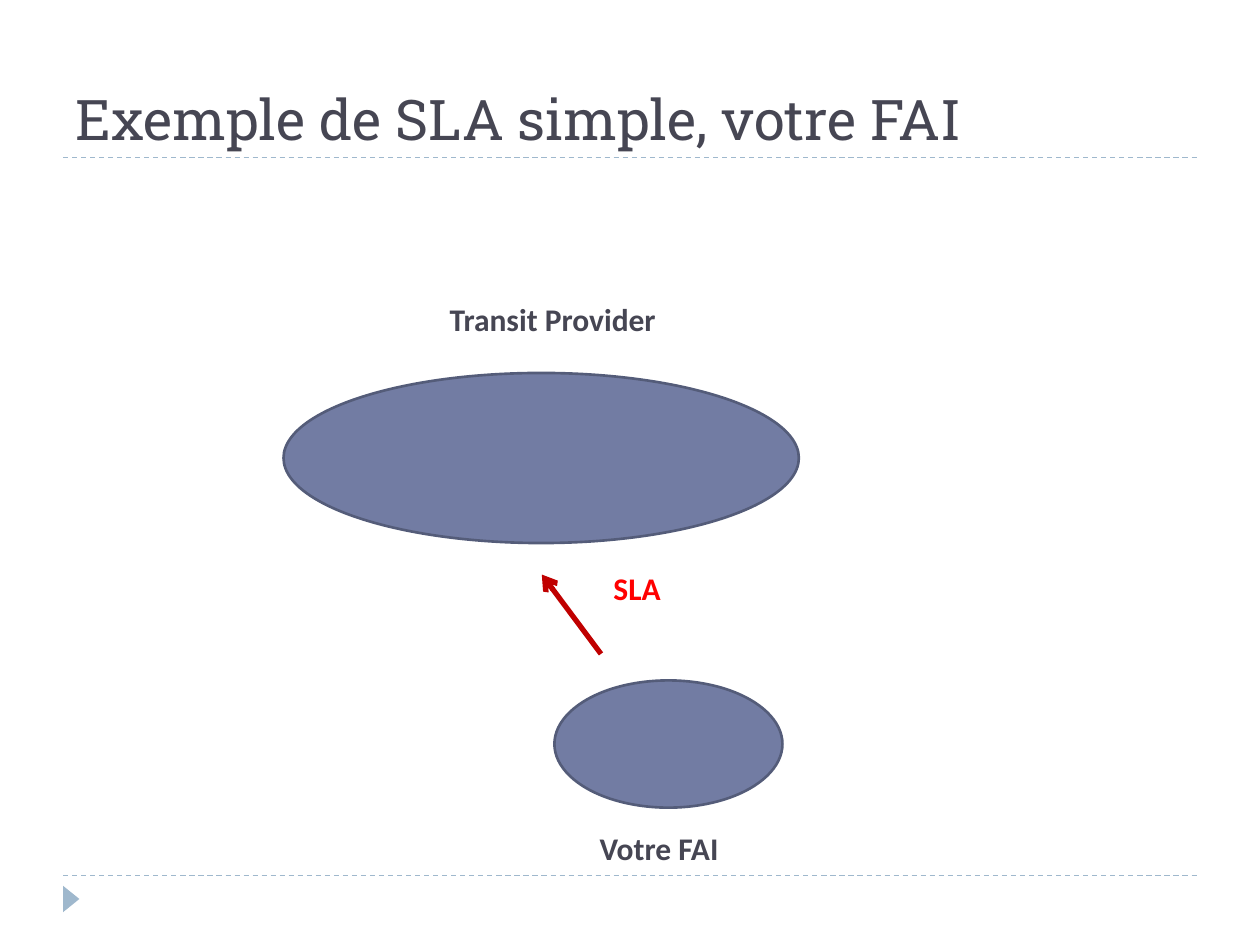
from pptx import Presentation
from pptx import util as u
from pptx.dml.color import RGBColor
from pptx.enum import dml, shapes, text
from pptx.oxml.ns import qn
from lxml import etree

COLORS = {
    "ink": "464653",
    "rule": "9FB8CD",
    "cloud": "727CA3",
    "edge": "545C79",
    "arrow": "C00000",
    "sla": "FF0000",
}


def color(name):
    return RGBColor.from_string(COLORS[name])


def add_line(slide, start, end, name, width):
    line = slide.shapes.add_connector(
        shapes.MSO_CONNECTOR.STRAIGHT, *map(u.Inches, start + end))
    line.line.color.rgb = color(name)
    line.line.width = u.Pt(width)
    etree.SubElement(line._element.spPr, qn("a:effectLst"))
    return line


def add_shape(slide, kind, box, fill):
    shape = slide.shapes.add_shape(kind, *map(u.Inches, box))
    shape.shadow.inherit = False
    shape.fill.solid()
    shape.fill.fore_color.rgb = color(fill)
    return shape


def add_text(slide, box, words, font, size, name, bold=False):
    frame = slide.shapes.add_textbox(*map(u.Inches, box)).text_frame
    para = frame.paragraphs[0]
    para.text = words
    para.font.name = font
    para.font.size = u.Pt(size)
    para.font.bold = bold
    para.font.color.rgb = color(name)
    return frame


def add_label(slide, box, words, name="ink"):
    frame = add_text(slide, box, words, "Calibri", 18, name, bold=True)
    frame.word_wrap = False
    frame.auto_size = text.MSO_AUTO_SIZE.SHAPE_TO_FIT_TEXT


def add_frame(slide, left, top, width, height):
    """Draw the dashed rules at the box's top and bottom, and the page mark."""
    base = top + height
    for y in (top, base):
        rule = add_line(slide, (left, y), (left + width, y), "rule", 0.75)
        rule.line.dash_style = dml.MSO_LINE.DASH
    mark = add_shape(slide, shapes.MSO_SHAPE.ISOSCELES_TRIANGLE,
                     (left - 0.04, base + 0.12, 0.21, 0.13), "rule")
    mark.rotation = 90
    mark.line.fill.background()


def add_title(slide, box, words):
    frame = add_text(slide, box, words, "Roboto Slab", 32, "ink")
    frame.word_wrap = True
    frame.vertical_anchor = text.MSO_ANCHOR.BOTTOM


def add_cloud(slide, box):
    cloud = add_shape(slide, shapes.MSO_SHAPE.OVAL, box, "cloud")
    cloud.line.color.rgb = color("edge")
    cloud.line.width = u.Pt(1.5)


def add_diagram(slide, left, top):
    """Draw the provider, the customer and the agreement between them."""
    arrow = add_line(slide, (left + 2.52, top + 2.86),
                     (left + 2.05, top + 2.23), "arrow", 3)
    etree.SubElement(arrow.line._get_or_add_ln(), qn("a:tailEnd"), type="arrow")
    add_label(slide, (left + 2.52, top + 2.14, 0.71, 0.4), "SLA", "sla")
    add_cloud(slide, (left, top + 0.63, 4.09, 1.35))
    add_cloud(slide, (left + 2.15, top + 3.07, 1.81, 1.01))
    add_label(slide, (left + 2.41, top + 4.2, 1.29, 0.4), "Votre FAI")
    add_label(slide, (left + 1.22, top, 2.12, 0.4), "Transit Provider")


def main():
    deck = Presentation()
    deck.slide_width, deck.slide_height = u.Inches(10), u.Inches(7.5)
    slide = deck.slides.add_slide(deck.slide_layouts[6])
    add_frame(slide, 0.5, 1.25, 9, 5.7)
    add_title(slide, (0.5, 0.17, 9, 1.08), "Exemple de SLA simple, votre FAI")
    add_diagram(slide, 2.25, 2.33)
    deck.save("out.pptx")


if __name__ == "__main__":
    main()
